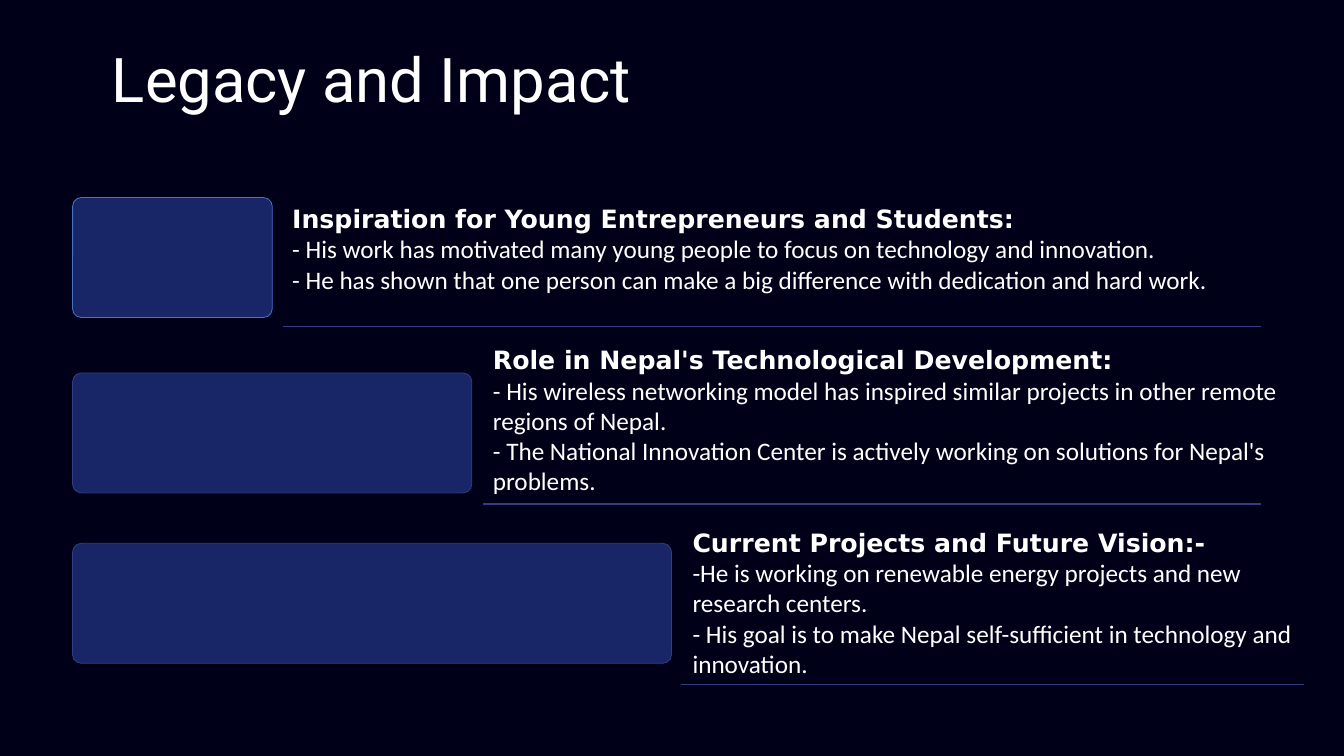
from lxml.etree import SubElement
from pptx import Presentation
from pptx.dml.color import RGBColor
from pptx.enum.shapes import MSO_CONNECTOR as Connector, MSO_SHAPE as Shape
from pptx.enum.text import MSO_ANCHOR as Anchor, MSO_AUTO_SIZE as AutoSize, PP_ALIGN as Align
from pptx.oxml.ns import qn
from pptx.util import Inches, Pt

NIGHT = RGBColor(0x00, 0x00, 0x19)
NAVY = RGBColor(0x18, 0x25, 0x67)
INDIGO = RGBColor(0x31, 0x3E, 0x80)
BLUE = RGBColor(0x44, 0x72, 0xC4)
WHITE = RGBColor(0xFF, 0xFF, 0xFF)

BAR_LEFT, BAR_STEP, BAR_HEIGHT = 0.72, 1.98, 1.19

# bar top, bar outline, text (left, top, width, height), rule (left, y, right), lines
STEPS = [
    (1.96, BLUE, (2.8, 1.97, 10.04, 1.01), (2.81, 3.24, 12.51), [
        "Inspiration for Young Entrepreneurs and Students:",
        "- His work has motivated many young people to focus on technology and innovation.",
        "- He has shown that one person can make a big difference with dedication and hard work.",
    ]),
    (3.7, INDIGO, (4.79, 3.37, 8.32, 1.62), (4.79, 5, 12.51), [
        "Role in Nepal's Technological Development:",
        "- His wireless networking model has inspired similar projects in other remote regions of Nepal.",
        "- The National Innovation Center is actively working on solutions for Nepal's problems.",
    ]),
    (5.39, INDIGO, (6.77, 5.18, 6.18, 1.62), (6.75, 6.79, 12.93), [
        "Current Projects and Future Vision:-",
        "-He is working on renewable energy projects and new research centers.",
        "- His goal is to make Nepal self-sufficient in technology and innovation.",
    ]),
]


class SlideBuilder:
    heading_font, body_font, title_font = "DejaVu Sans", "Calibri", "Roboto"

    def __init__(self, page):
        self.page = page
        page.background.fill.solid()
        page.background.fill.fore_color.rgb = NIGHT

    def style(self, para, name, size, bold=False):
        para.alignment = Align.LEFT
        para.font.name = name
        para.font.size = Pt(size)
        para.font.bold = bold
        para.font.color.rgb = WHITE

    def title(self, text, left, top, width, height):
        box = self.page.shapes.title
        box.left, box.top, box.width, box.height = map(Inches, (left, top, width, height))
        frame = box.text_frame
        frame.text = text
        frame.auto_size = AutoSize.NONE
        frame.vertical_anchor = Anchor.TOP
        frame.margin_left = frame.margin_right = frame.margin_top = frame.margin_bottom = 0
        self.style(frame.paragraphs[0], self.title_font, 44)

    def bar(self, top, width, outline):
        bar = self.page.shapes.add_shape(
            Shape.ROUNDED_RECTANGLE, *map(Inches, (BAR_LEFT, top, width, BAR_HEIGHT)))
        bar.adjustments[0] = 0.073
        bar.shadow.inherit = False
        bar.fill.solid()
        bar.fill.fore_color.rgb = NAVY
        bar.line.color.rgb = outline
        bar.line.width = Pt(0.6)

    def rule(self, left, y, right):
        rule = self.page.shapes.add_connector(
            Connector.STRAIGHT, *map(Inches, (left, y, right, y)))
        rule.line.color.rgb = INDIGO
        rule.line.width = Pt(1)
        SubElement(rule.line._get_or_add_ln().getparent(), qn("a:effectLst"))

    def text(self, lines, left, top, width, height):
        box = self.page.shapes.add_textbox(*map(Inches, (left, top, width, height)))
        frame = box.text_frame
        frame.word_wrap = True
        frame.auto_size = AutoSize.SHAPE_TO_FIT_TEXT
        frame.text = "\n".join(lines)
        heading, *body = frame.paragraphs
        self.style(heading, self.heading_font, 18, bold=True)
        for para in body:
            self.style(para, self.body_font, 18)


def main():
    deck = Presentation()
    deck.slide_width, deck.slide_height = Inches(13.33), Inches(7.5)
    builder = SlideBuilder(deck.slides.add_slide(deck.slide_layouts[5]))
    builder.title("Legacy and Impact", 1.11, 0.41, 6.89, 1.22)
    for number, (top, outline, area, rule, lines) in enumerate(STEPS, start=1):
        builder.bar(top, number * BAR_STEP, outline)
        builder.rule(*rule)
        builder.text(lines, *area)
    deck.save("out.pptx")


if __name__ == "__main__":
    main()
